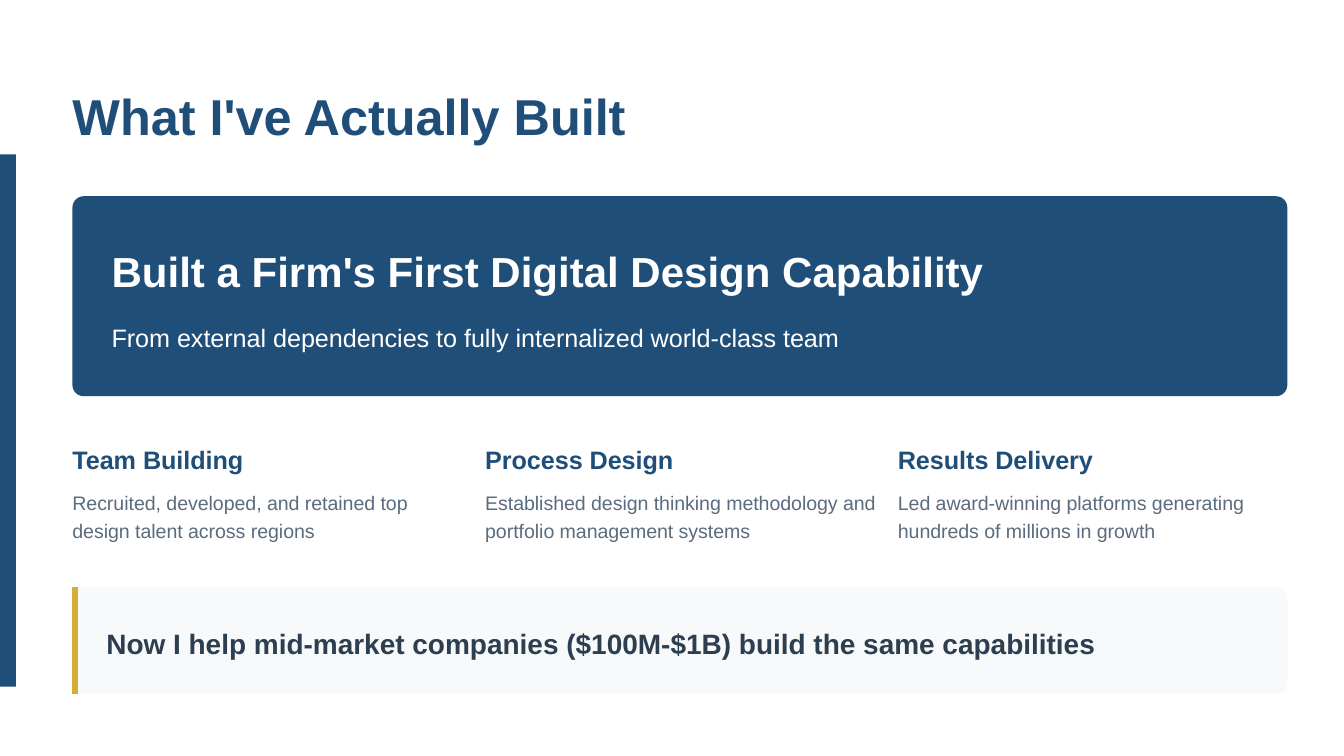
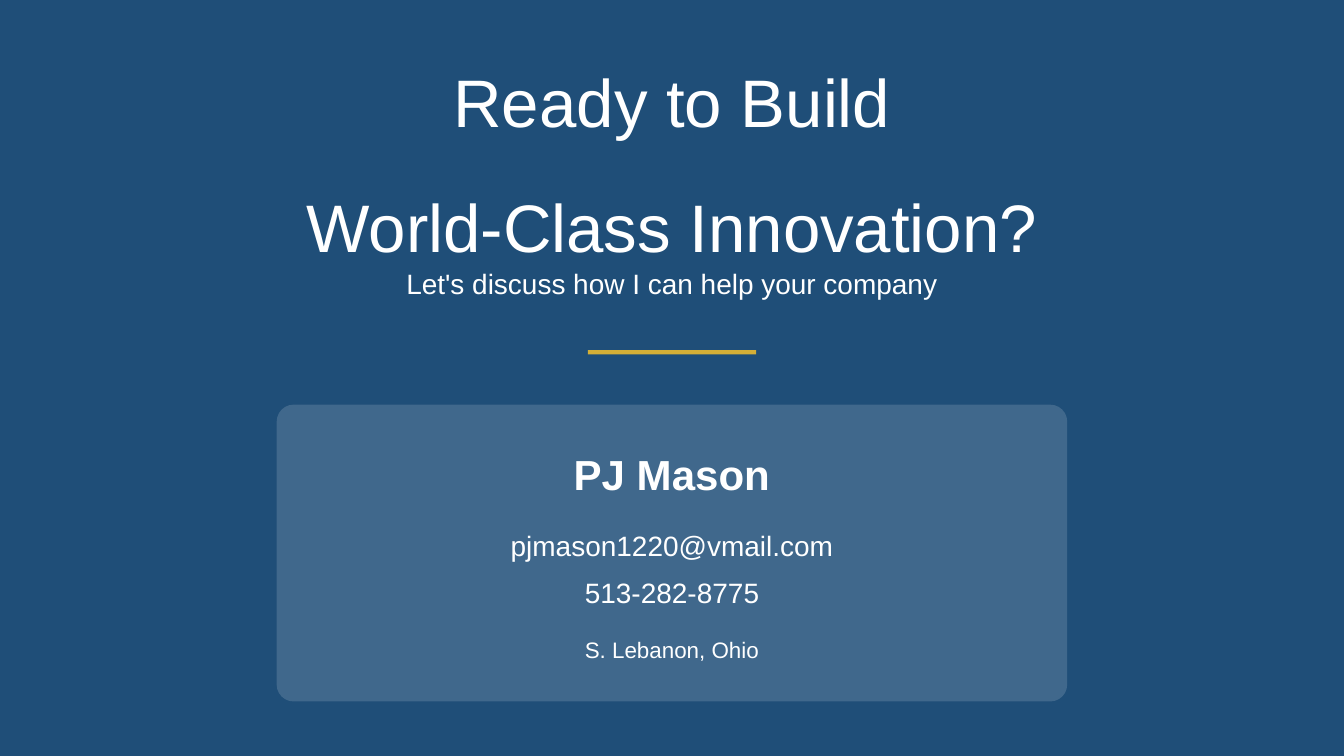
import collections

import lxml.etree
import pptx
import pptx.dml.color
import pptx.enum.shapes
import pptx.enum.text
import pptx.oxml.ns
import pptx.util

Cm = pptx.util.Cm
Pt = pptx.util.Pt
RGBColor = pptx.dml.color.RGBColor
Shapes = pptx.enum.shapes.MSO_SHAPE
Align = pptx.enum.text.PP_ALIGN

FONT = "Arial"
NAVY = RGBColor(0x1F, 0x4E, 0x78)
GOLD = RGBColor(0xD4, 0xAF, 0x37)
WHITE = RGBColor(0xFF, 0xFF, 0xFF)
MIST = RGBColor(0xF8, 0xF9, 0xFA)
SLATE = RGBColor(0x5A, 0x6C, 0x7D)
INK = RGBColor(0x2C, 0x3E, 0x50)

PAGE_WIDTH, PAGE_HEIGHT = 25.4, 14.29
MARGIN, CONTENT_WIDTH = 1.37, 22.96
COLUMN_WIDTH, COLUMN_PITCH = 7.52, 7.8
CLOSING_WIDTH, CARD_WIDTH, CONTACT_WIDTH, RULE_WIDTH = 15.24, 14.94, 13.72, 3.18

Style = collections.namedtuple("Style", "size color bold leading before after")
TITLE = Style(27, NAVY, True, 30, 0, 0)
HERO_HEADING = Style(22.5, WHITE, True, 29.2, 3, 3)
HERO_DETAIL = Style(13.5, WHITE, False, 21, 9, 3)
COLUMN_HEADING = Style(13.5, NAVY, True, 21, 3, 6)
COLUMN_DETAIL = Style(10.5, SLATE, False, 15, 3, 3)
CALLOUT = Style(15, INK, True, 21, 3, 3)
CLOSING_TITLE = Style(36, WHITE, False, 43.2, 3, 21)
CLOSING_DETAIL = Style(15, WHITE, False, 21, 3, 27)
CONTACT_NAME = Style(22.5, WHITE, True, 27, 3, 12)
CONTACT_DETAIL = Style(15, WHITE, False, 21, 3, 4.5)
CONTACT_PLACE = Style(12, WHITE, False, 18, 0, 0)

BUILT_TITLE = "What I've Actually Built"
HERO = [
    ("Built a Firm's First Digital Design Capability", 4.57, 1.04, HERO_HEADING),
    ("From external dependencies to fully internalized world-class team", 5.92, 0.74, HERO_DETAIL),
]
COLUMNS = [
    ("Team Building", "Recruited, developed, and retained top design talent across regions"),
    ("Process Design", "Established design thinking methodology and portfolio management systems"),
    ("Results Delivery", "Led award-winning platforms generating hundreds of millions in growth"),
]
CALLOUT_TEXT = "Now I help mid-market companies ($100M-$1B) build the same capabilities"
CLOSING_LINES = "Ready to Build\nWorld-Class Innovation?"
CLOSING_TEXT = "Let's discuss how I can help your company"
CONTACT = [
    ("PJ Mason", 8.48, 0.97, CONTACT_NAME),
    ("pjmason1220@vmail.com", 9.88, 0.74, CONTACT_DETAIL),
    ("513-282-8775", 10.77, 0.74, CONTACT_DETAIL),
    ("S. Lebanon, Ohio", 11.89, 0.64, CONTACT_PLACE),
]


def centered(width):
    """Return the left edge that centres a width on the page."""
    return (PAGE_WIDTH - width) / 2


def write(box, text, style, align=Align.LEFT, inset=0):
    """Fill a box with text in one style."""
    frame = box.text_frame
    frame.text = text
    frame.word_wrap = True
    frame.auto_size = pptx.enum.text.MSO_AUTO_SIZE.NONE
    frame.vertical_anchor = pptx.enum.text.MSO_ANCHOR.TOP
    frame.margin_left = Cm(inset)
    frame.margin_top = frame.margin_right = frame.margin_bottom = 0
    for para in frame.paragraphs:
        para.alignment = align
        para.line_spacing = Pt(style.leading)
        para.space_before = Pt(style.before)
        para.space_after = Pt(style.after)
        for span in para.runs:
            span.font.name = FONT
            span.font.size = Pt(style.size)
            span.font.bold = style.bold
            span.font.color.rgb = style.color


def add_text(page, place, text, style, align=Align.LEFT):
    """Add a text box at a place given in centimetres."""
    write(page.shapes.add_textbox(*map(Cm, place)), text, style, align)


def add_panel(page, place, color, rounding=None, opacity=None):
    """Add a flat rectangle, rounded or translucent on request."""
    kind = Shapes.RECTANGLE if rounding is None else Shapes.ROUNDED_RECTANGLE
    panel = page.shapes.add_shape(kind, *map(Cm, place))
    panel.shadow.inherit = False
    panel.line.fill.background()
    panel.fill.solid()
    panel.fill.fore_color.rgb = color
    if rounding is not None:
        panel.adjustments[0] = rounding
    if opacity is not None:
        tone = panel.fill._xPr.find(".//" + pptx.oxml.ns.qn("a:srgbClr"))
        lxml.etree.SubElement(tone, pptx.oxml.ns.qn("a:alpha")).set("val", str(opacity * 1000))


def add_accent(page, x, top, bottom):
    """Add a vertical gold line."""
    accent = page.shapes.add_connector(
        pptx.enum.shapes.MSO_CONNECTOR.STRAIGHT, Cm(x), Cm(top), Cm(x), Cm(bottom))
    accent.line.color.rgb = GOLD
    accent.line.width = Pt(3)
    lxml.etree.SubElement(accent._element.spPr, pptx.oxml.ns.qn("a:effectLst"))


def add_page(deck, background, place, title, style, align=Align.LEFT, inset=0):
    """Add a page with its background and title."""
    page = deck.slides.add_slide(deck.slide_layouts.get_by_name("Title Only"))
    page.background.fill.solid()
    page.background.fill.fore_color.rgb = background
    box = page.shapes.title
    box.left, box.top, box.width, box.height = map(Cm, place)
    write(box, title, style, align, inset)
    return page


def build_achievements(deck):
    """Build the page of achievements."""
    page = add_page(deck, WHITE, (0.53, 1.7, 12.45, 1.07), BUILT_TITLE, TITLE, inset=0.84)
    add_panel(page, (0, 2.92, 0.3, 10.06), NAVY)
    add_panel(page, (MARGIN, 3.71, CONTENT_WIDTH, 3.78), NAVY, 0.056)
    for text, top, height, style in HERO:
        add_text(page, (2.11, top, 21.92, height), text, style)
    for index, (heading, detail) in enumerate(COLUMNS):
        left = MARGIN + index * COLUMN_PITCH
        add_text(page, (left, 8.23, COLUMN_WIDTH, 0.74), heading, COLUMN_HEADING)
        add_text(page, (left, 9.19, COLUMN_WIDTH, 1.07), detail, COLUMN_DETAIL)
    top, height = 11.1, 2.01
    add_panel(page, (MARGIN, top, CONTENT_WIDTH, height), MIST, 0.079)
    add_accent(page, MARGIN + 0.05, top, top + height)
    add_text(page, (2.01, 11.73, 22.25, 0.74), CALLOUT_TEXT, CALLOUT)


def build_closing(deck):
    """Build the closing page with the contact card."""
    left = centered(CLOSING_WIDTH)
    page = add_page(deck, NAVY, (left, 1.14, CLOSING_WIDTH, 3.05),
                    CLOSING_LINES, CLOSING_TITLE, Align.CENTER)
    add_text(page, (left, 4.93, CLOSING_WIDTH, 0.74), CLOSING_TEXT, CLOSING_DETAIL, Align.CENTER)
    add_panel(page, (centered(RULE_WIDTH), 6.62, RULE_WIDTH, 0.08), GOLD)
    add_panel(page, (centered(CARD_WIDTH), 7.65, CARD_WIDTH, 5.61), WHITE, 0.057, 15)
    for text, top, height, style in CONTACT:
        add_text(page, (centered(CONTACT_WIDTH), top, CONTACT_WIDTH, height),
                 text, style, Align.CENTER)


def main():
    """Build and save the deck."""
    deck = pptx.Presentation()
    deck.slide_width, deck.slide_height = Cm(PAGE_WIDTH), Cm(PAGE_HEIGHT)
    build_achievements(deck)
    build_closing(deck)
    deck.save("out.pptx")


if __name__ == "__main__":
    main()
